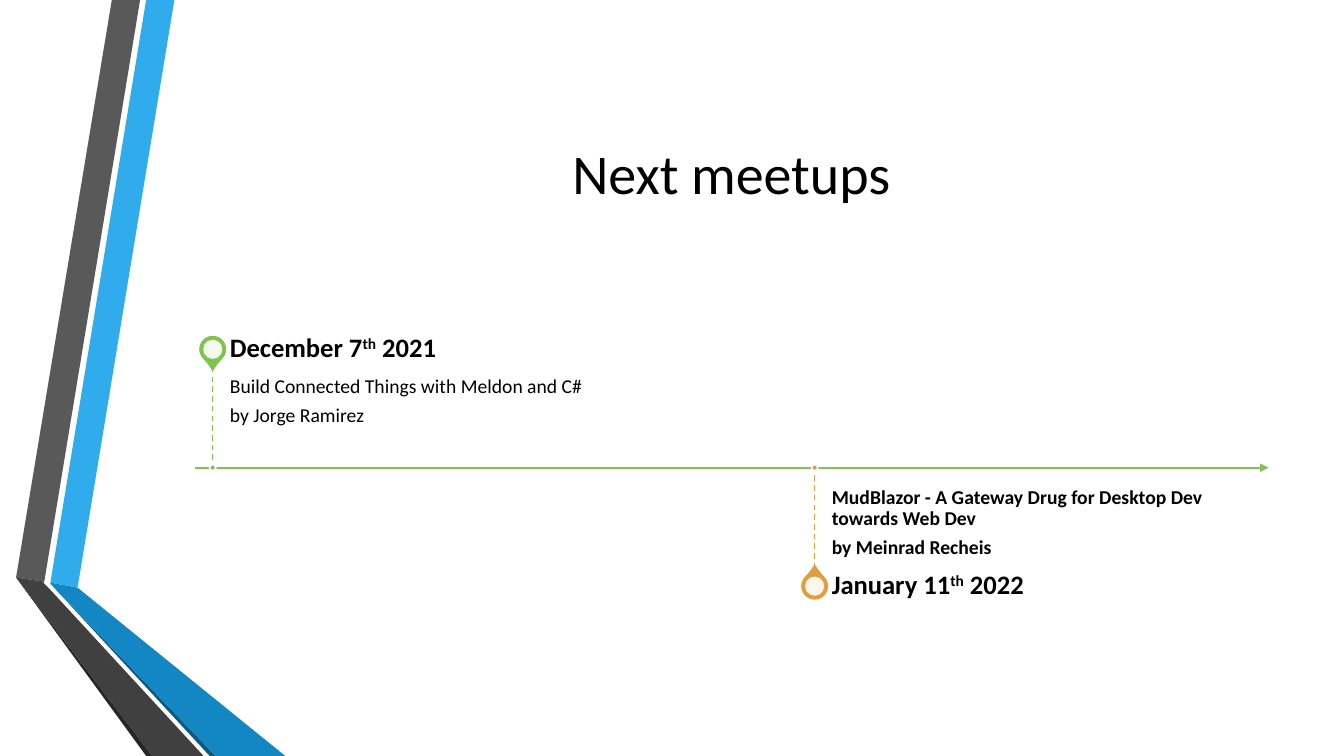
from lxml.etree import SubElement
from pptx import Presentation
from pptx.dml.color import RGBColor
from pptx.enum.dml import MSO_LINE_DASH_STYLE as Dash
from pptx.enum.shapes import MSO_CONNECTOR as Connector, MSO_SHAPE as Shape
from pptx.enum.text import MSO_ANCHOR as Anchor, PP_ALIGN as Align
from pptx.oxml.ns import qn
from pptx.util import Pt

TITLE = "Next meetups"
MEETUPS = [
    dict(x=211, above=True, color="green", bold=False, date=["December 7", "th", " 2021"],
         lines=["Build Connected Things with Meldon and C#", "by Jorge Ramirez"]),
    dict(x=808, above=False, color="orange", bold=True, date=["January 11", "th", " 2022"],
         lines=["MudBlazor - A Gateway Drug for Desktop Dev towards Web Dev",
                "by Meinrad Recheis"]),
]
COLORS = {
    "black": "000000", "white": "FFFFFF", "green": "80C34F", "orange": "E29D3E",
    "sky": "30ACEC", "blue": "1287C3", "navy": "0C5A82",
    "gray": "595959", "charcoal": "404040", "soot": "262626",
}
RIBBONS = [
    ("sky", [(50, 578), (77, 583), (173, 0), (145, 0)]),
    ("gray", [(139, 0), (111, 0), (16, 573), (44, 577)]),
    ("soot", [(16, 573), (145, 750), (151, 750)]),
    ("navy", [(50, 579), (208, 750), (214, 750)]),
    ("blue", [(50, 579), (214, 750), (283, 750), (77, 583), (50, 578)]),
    ("charcoal", [(202, 750), (48, 583), (43, 578), (44, 577), (16, 573), (151, 750)]),
]
FONT = "Calibri"
PX = 9144
AXIS_LEFT, AXIS_RIGHT, AXIS_Y = 193, 1258, 464
STEM, DATE_HEIGHT, TEXT_WIDTH, TEXT_GAP = 100, 35, 387, 17
RING, EYE, DOT = 25, 19, 6


def px(*lengths):
    return [round(length * PX) for length in lengths]


def rgb(name):
    return RGBColor.from_string(COLORS[name])


def paint(shape, fill, line=None):
    shape.shadow.inherit = False
    shape.fill.solid()
    shape.fill.fore_color.rgb = rgb(fill)
    if line:
        shape.line.color.rgb = rgb(line)
        shape.line.width = Pt(1.25)
    else:
        shape.line.fill.background()


def add_centered(page, kind, x, y, size, fill, line=None):
    shape = page.shapes.add_shape(kind, *px(x - size / 2, y - size / 2, size, size))
    paint(shape, fill, line)
    return shape


def add_line(page, ends, color, width):
    line = page.shapes.add_connector(Connector.STRAIGHT, *px(*ends))
    line.line.color.rgb = rgb(color)
    line.line.width = Pt(width)
    SubElement(line._element.spPr, qn("a:effectLst"))
    return line


def style(font, size, bold=False):
    font.name, font.size, font.bold = FONT, Pt(size), bold
    font.color.rgb = rgb("black")


def add_box(page, area, insets, anchor):
    frame = page.shapes.add_textbox(*px(*area)).text_frame
    frame.word_wrap = True
    frame.vertical_anchor = anchor
    (frame.margin_left, frame.margin_top,
     frame.margin_right, frame.margin_bottom) = px(*insets)
    return frame


def space(para, after):
    para.line_spacing = 0.9
    para.space_after = Pt(after)


def add_ribbon(page, color, points):
    builder = page.shapes.build_freeform(*points[0], scale=PX)
    builder.add_line_segments(points[1:], close=True)
    paint(builder.convert_to_shape(), color)


def add_title(page):
    title = page.shapes.title
    title.left, title.top, title.width, title.height = px(193, 75, 1065, 192)
    frame = title.text_frame
    frame.text = TITLE
    frame.vertical_anchor = Anchor.MIDDLE
    para = frame.paragraphs[0]
    para.alignment = Align.CENTER
    style(para.runs[0].font, 40)


def add_axis(page):
    axis = add_line(page, (AXIS_LEFT, AXIS_Y, AXIS_RIGHT, AXIS_Y), "green", 1.5)
    SubElement(axis.line._get_or_add_ln(), qn("a:tailEnd"), type="triangle")


def add_meetup(page, x, above, color, bold, date, lines):
    stem_end = AXIS_Y - STEM if above else AXIS_Y + STEM
    text_top = min(AXIS_Y, stem_end)
    date_top = stem_end - DATE_HEIGHT if above else stem_end
    pin_y = date_top + DATE_HEIGHT / 2
    text_left = x + TEXT_GAP

    ring = add_centered(page, Shape.TEAR, x, pin_y, RING, color, color)
    ring.adjustments[0] = 1.15
    ring.rotation = 135 if above else 315
    eye = add_centered(page, Shape.OVAL, x, pin_y, EYE, "white")
    SubElement(eye._element.spPr.find(".//" + qn("a:srgbClr")), qn("a:alpha"), val="90000")

    insets = (0, 10, 0, 15) if above else (0, 15, 10, 10)
    frame = add_box(page, (text_left, text_top, TEXT_WIDTH, STEM), insets,
                    Anchor.TOP if above else Anchor.BOTTOM)
    frame.text = "\n".join(lines)
    for para in frame.paragraphs:
        space(para, 5)
        style(para.runs[0].font, 14, bold)

    frame = add_box(page, (text_left, date_top, TEXT_WIDTH, DATE_HEIGHT),
                    (0, 0, 13, 0), Anchor.MIDDLE)
    para = frame.paragraphs[0]
    space(para, 7)
    for part in date:
        span = para.add_run()
        span.text = part
        style(span.font, 19, True)
    para.runs[1]._r.get_or_add_rPr().set("baseline", "30000")

    stem = add_line(page, (x, stem_end, x, AXIS_Y), color, 1)
    stem.line.dash_style = Dash.DASH
    add_centered(page, Shape.OVAL, x, AXIS_Y, DOT, color, "white")


def main():
    deck = Presentation()
    deck.slide_width, deck.slide_height = px(1333, 750)
    page = deck.slides.add_slide(deck.slide_layouts[5])
    for color, points in RIBBONS:
        add_ribbon(page, color, points)
    add_title(page)
    add_axis(page)
    for meetup in MEETUPS:
        add_meetup(page, **meetup)
    deck.save("out.pptx")


if __name__ == "__main__":
    main()
